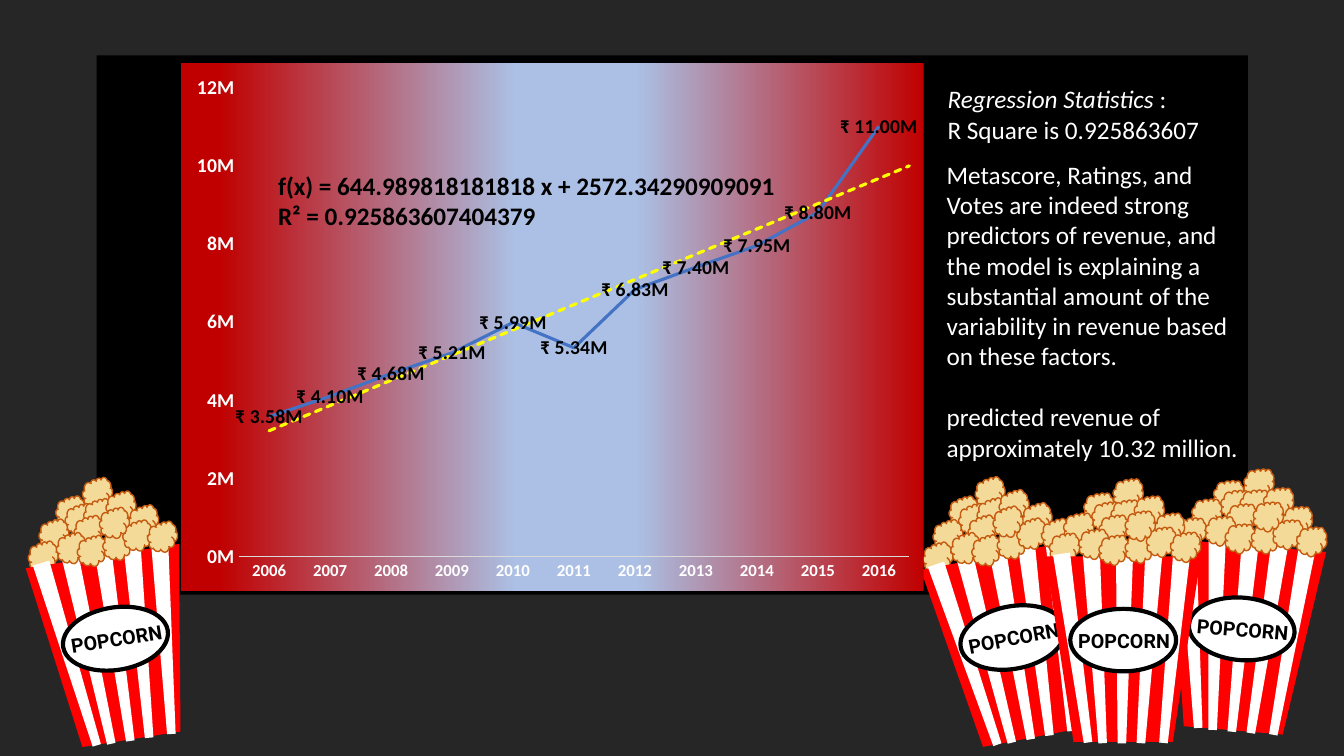
"""Build the cinema revenue slide: trend chart, regression notes and popcorn buckets."""
from math import cos, radians, sin

from lxml import etree
from pptx import Presentation
from pptx.chart.data import CategoryChartData
from pptx.dml.color import RGBColor
from pptx.enum.chart import XL_CHART_TYPE, XL_LABEL_POSITION, XL_TICK_MARK
from pptx.enum.shapes import MSO_SHAPE
from pptx.enum.text import MSO_ANCHOR, MSO_AUTO_SIZE, PP_ALIGN
from pptx.oxml.ns import qn
from pptx.util import Pt

PX = 9144
CLOUD, OVAL = MSO_SHAPE.CLOUD, MSO_SHAPE.OVAL
RECTANGLE, TRAPEZOID = MSO_SHAPE.RECTANGLE, MSO_SHAPE.TRAPEZOID
NO_TICK = XL_TICK_MARK.NONE
NAMESPACES = (
    'xmlns:c="http://schemas.openxmlformats.org/drawingml/2006/chart" '
    'xmlns:a="http://schemas.openxmlformats.org/drawingml/2006/main"'
)


def color(code):
    return RGBColor.from_string(code)


def add_block(shapes, kind, left, top, width, height, fill, line=None, weight=1):
    block = shapes.add_shape(
        kind, round(left * PX), round(top * PX), width * PX, height * PX)
    block.shadow.inherit = False
    block.fill.solid()
    block.fill.fore_color.rgb = color(fill)
    if line:
        block.line.color.rgb = color(line)
        block.line.width = Pt(weight)
    else:
        block.line.fill.background()
    return block


deck = Presentation()
deck.slide_width, deck.slide_height = 1333 * PX, 750 * PX
page = deck.slides.add_slide(deck.slide_layouts[6])
page.background.fill.solid()
page.background.fill.fore_color.rgb = color("000000")

for frame in [(1238, 40, 95, 710), (0, 48, 96, 702), (0, 0, 1333, 55), (95, 590, 1144, 160)]:
    add_block(page.shapes, RECTANGLE, *frame, "262626")

back_kernels = [(5, -116), (-24, -102), (-16, -93), (3, -95), (26, -99),
                (-44, -82), (-9, -80), (46, -82), (-58, -62)]
front_kernels = [(-29, -66), (-9, -60), (17, -62), (38, -68), (62, -63), (17, -84)]
stripes = [(-48, 172), (-26, 176.6), (0, 180.8), (24, 183.9), (49, 185.5)]

kernel_style = (CLOUD, 30, 30, "F4DA98", "C55A11", 1)
bucket_parts = [(x, y, 0, kernel_style) for x, y in back_kernels]
bucket_parts.append((0, 38, 180, (TRAPEZOID, 154, 184, "FF0000")))
bucket_parts += [(x, 37, turn, (TRAPEZOID, 17, 189, "FFFFFF")) for x, turn in stripes]
bucket_parts += [(x, y, 0, kernel_style) for x, y in front_kernels]
bucket_parts.append((0, 29, 0, (OVAL, 105, 62, "FFFFFF", "000000", 3)))
bucket_parts.append((1, 29, 0, None))

for center_x, center_y, tilt in [(999, 604, -10.8), (110, 605, -9), (1234, 595, 4.8), (1114, 606, 0)]:
    bucket = page.shapes.add_group_shape()
    cosine, sine = cos(radians(tilt)), sin(radians(tilt))
    for x, y, turn, style in bucket_parts:
        part_x = center_x + x * cosine - y * sine
        part_y = center_y + x * sine + y * cosine
        if style:
            kind, width, height, *paint = style
            part = add_block(bucket.shapes, kind, part_x - width / 2,
                             part_y - height / 2, width, height, *paint)
            if width == 154:
                part.adjustments[0] = 0.18
        else:
            part = bucket.shapes.add_textbox(
                round((part_x - 58) * PX), round((part_y - 16) * PX), 116 * PX, 33 * PX)
            part.text_frame.word_wrap = False
            part.text_frame.vertical_anchor = MSO_ANCHOR.MIDDLE
            para = part.text_frame.paragraphs[0]
            para.text = "POPCORN"
            para.alignment = PP_ALIGN.CENTER
            para.font.name, para.font.size, para.font.bold = "Roboto", Pt(14), True
            para.font.color.rgb = color("000000")
        part.rotation = (turn + tilt) % 360

revenue = CategoryChartData()
revenue.categories = [str(year) for year in range(2006, 2017)]
revenue.add_series("Series 1", [3580, 4100, 4680, 5210, 5990, 5340, 6830, 7400, 7950, 8800, 11000])
chart = page.shapes.add_chart(
    XL_CHART_TYPE.LINE, 180 * PX, 63 * PX, 736 * PX, 523 * PX, revenue).chart
chart.has_legend = False
chart.has_title = False
chart.font.name, chart.font.size = "Calibri", Pt(10)
chart.plots[0].vary_by_categories = False

years, amounts = chart.category_axis, chart.value_axis
amounts.minimum_scale, amounts.maximum_scale, amounts.major_unit = 0, 12000, 2000
amounts.has_major_gridlines = False
amounts.tick_labels.number_format = '0,"M"'
amounts.tick_labels.number_format_is_linked = False
amounts.format.line.fill.background()
years.format.line.color.rgb = color("D9D9D9")
years.format.line.width = Pt(0.75)

series = chart.plots[0].series[0]
series.smooth = False
series.format.line.color.rgb = color("4472C4")
series.format.line.width = Pt(2.25)
labels = series.data_labels
labels.show_value = True
labels.position = XL_LABEL_POSITION.CENTER
labels.number_format = '"₹"\\ 0.00,"M"'
labels.number_format_is_linked = False

for axis in (years, amounts):
    axis.major_tick_mark = axis.minor_tick_mark = NO_TICK
for font, size, code in [(years.tick_labels.font, 12, "FFFFFF"),
                         (amounts.tick_labels.font, 14, "FFFFFF"),
                         (labels.font, 14, "000000")]:
    font.name, font.size, font.bold = "Calibri", Pt(size), True
    font.color.rgb = color(code)

trend = etree.fromstring(f"""<c:trendline {NAMESPACES}>
<c:spPr><a:ln w="28575" cap="rnd"><a:solidFill><a:srgbClr val="FFFF00"/></a:solidFill>
<a:prstDash val="sysDash"/></a:ln></c:spPr>
<c:trendlineType val="linear"/><c:forward val="0.5"/>
<c:dispRSqr val="0"/><c:dispEq val="0"/></c:trendline>""")
chart_space = chart._chartSpace
chart_space.find(f".//{qn('c:cat')}").addprevious(trend)

stops = "".join(
    f'<a:gs pos="{place}000"><a:srgbClr val="{code}"/></a:gs>'
    for place, code in [(0, "C00000"), (38, "ABBDE1"), (39, "ABC0E4"), (55, "ABC0E4"), (95, "C00000")])
backdrop = etree.fromstring(f"""<c:spPr {NAMESPACES}><a:gradFill><a:gsLst>{stops}</a:gsLst>
<a:lin ang="10800000" scaled="0"/></a:gradFill><a:ln><a:noFill/></a:ln></c:spPr>""")
chart_space.find(qn("c:chart")).addnext(backdrop)

plot_area = chart_space.find(f".//{qn('c:plotArea')}")
for layout in plot_area.findall(qn("c:layout")):
    plot_area.remove(layout)
plot_area.insert(0, etree.fromstring(f"""<c:layout {NAMESPACES}><c:manualLayout>
<c:layoutTarget val="inner"/><c:xMode val="edge"/><c:yMode val="edge"/>
<c:x val="0.077"/><c:y val="0.045"/><c:w val="0.904"/><c:h val="0.891"/>
</c:manualLayout></c:layout>"""))

formula = [[("f(x) = 644.989818181818 x + 2572.34290909091", False)],
           [("R² = 0.925863607404379", False)]]
statistics = [[("Regression Statistics", True), (" :", False)],
              [("R Square is 0.925863607", False)]]
findings = [[("Metascore, Ratings, and Votes are indeed strong predictors of revenue, "
              "and the model is explaining a substantial amount of the variability "
              "in revenue based on these factors.", False)],
            [("predicted revenue of approximately 10.32 million.", False)]]
for frame, paragraphs, gap, code, bold in [
        ((266, 164, 540, 71), formula, 0, "000000", True),
        ((930, 78, 307, 71), statistics, 0, "FFFFFF", False),
        ((929, 153, 312, 379), findings, 22, "FFFFFF", False)]:
    box = page.shapes.add_textbox(*[length * PX for length in frame])
    box.text_frame.word_wrap = True
    box.text_frame.auto_size = MSO_AUTO_SIZE.SHAPE_TO_FIT_TEXT
    for index, spans in enumerate(paragraphs):
        para = box.text_frame.add_paragraph() if index else box.text_frame.paragraphs[0]
        para.space_before = Pt(gap * index)
        para.font.name, para.font.size, para.font.bold = "Calibri", Pt(18), bold
        para.font.color.rgb = color(code)
        for words, slanted in spans:
            span = para.add_run()
            span.text = words
            span.font.italic = slanted

deck.save("out.pptx")
